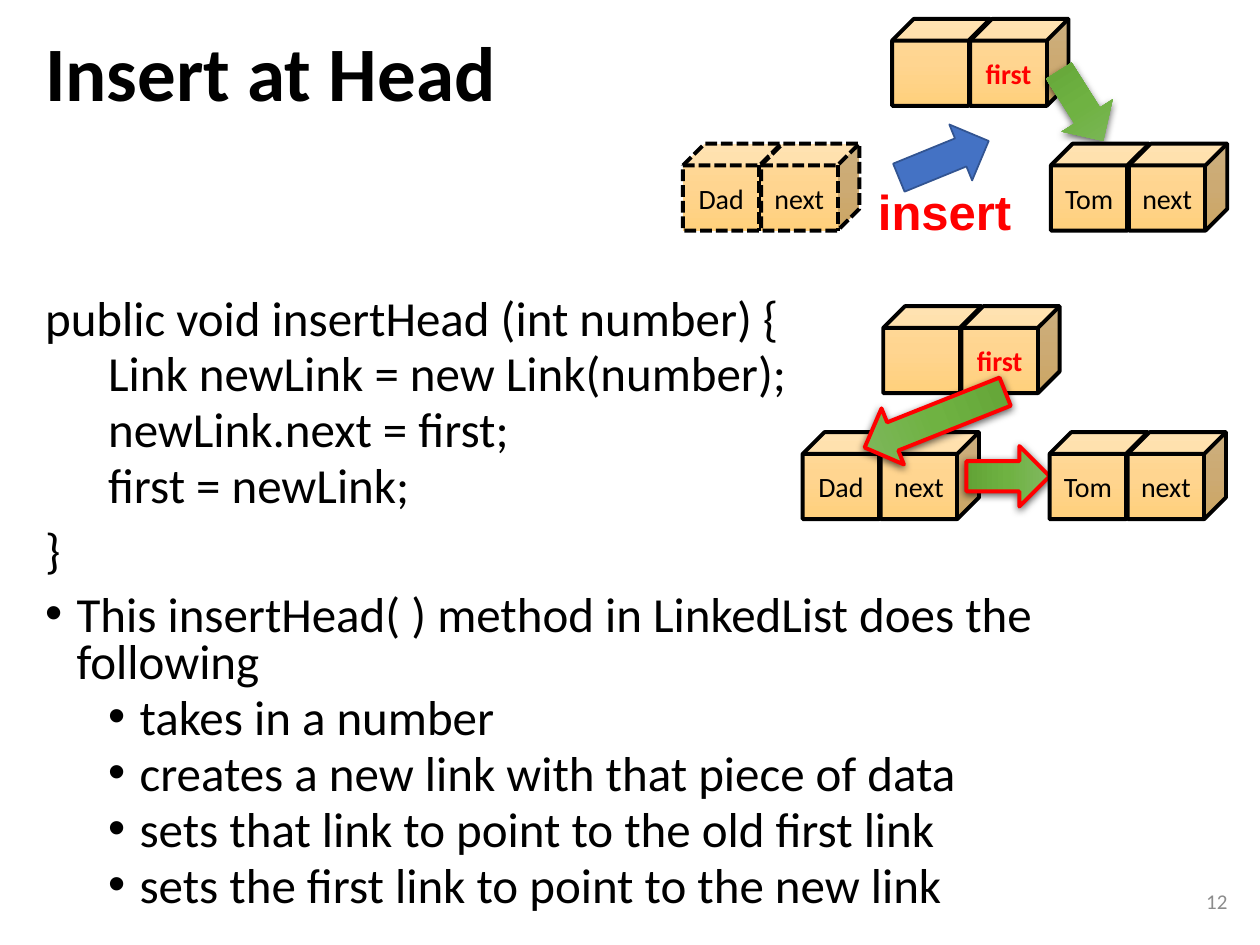
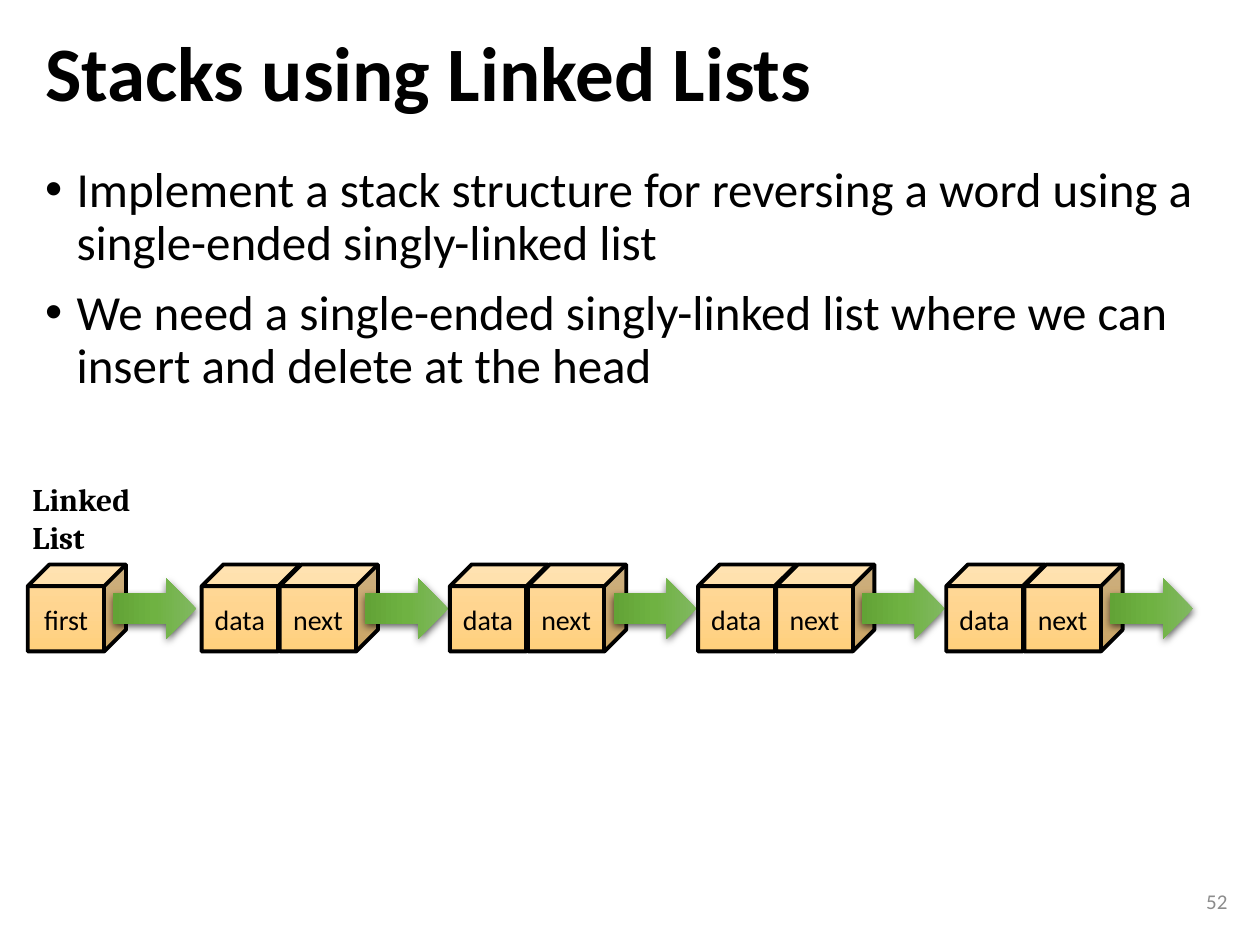
import pptx
import pptx.util
import pptx.dml.color
import pptx.enum.dml
import pptx.enum.shapes
import pptx.enum.text
import pptx.oxml
import pptx.oxml.ns

Inches, Pt = pptx.util.Inches, pptx.util.Pt
SHAPE = pptx.enum.shapes.MSO_SHAPE
ALIGN = pptx.enum.text.PP_ALIGN
ANCHOR = pptx.enum.text.MSO_ANCHOR
DASH = pptx.enum.dml.MSO_LINE.SQUARE_DOT

COLORS = {"text": "000000", "accent": "FF0000", "number": "8C8C8C",
          "insert": "4472C4", "insert_line": "325491"}
CUBE_GRADIENT = ("FFDB9E", "FFD590", "FFD07C")
ARROW_GRADIENT = ("81B861", "6FB242", "62A336")

TITLE_BOX = (0.26, 0.15, 9.47, 0.92)
BODY_LEFT, BODY_WIDTH, BODY_BOTTOM = 0.26, 9.47, 7.23
NUMBER_BOX = (7.59, 6.95, 2.25, 0.4)
CUBE_W, CUBE_H, CUBE_STEP = 0.78, 0.69, 0.62
ARROW_W, ARROW_H = 0.48, 0.66
LINK_PITCH = 1.97

# kind: (left margin, first-line indent, space before)
KINDS = {"code": (0, 0, 10), "code_in": (0.5, 0, 5),
         "bullet": (0.25, -0.25, 10), "sub": (0.75, -0.25, 5)}

HEAD = {
    "title": "Insert at Head", "number": "12", "body_top": 2.32, "spacing": 0.8,
    "body": [
        ("code", "public void insertHead (int number) {"),
        ("code_in", "Link newLink = new Link(number);"),
        ("code_in", "newLink.next = first;"),
        ("code_in", "first = newLink;"),
        ("code", "}"),
        ("bullet", "This insertHead( ) method in LinkedList does the following"),
        ("sub", "takes in a number"),
        ("sub", "creates a new link with that piece of data"),
        ("sub", "sets that link to point to the old first link"),
        ("sub", "sets the first link to point to the new link"),
    ],
}
STACK = {
    "title": "Stacks using Linked Lists", "number": "52", "body_top": 1.26, "spacing": 0.9,
    "body": [
        ("bullet", "Implement a stack structure for reversing a word using a "
                   "single-ended singly-linked list"),
        ("bullet", "We need a single-ended singly-linked list where we can "
                   "insert and delete at the head"),
    ],
}


def rgb(hex_color):
    return pptx.dml.color.RGBColor.from_string(hex_color)


def element(xml):
    """Parse DrawingML whose root tag carries the a: prefix."""
    tag, rest = xml.split(" ", 1)
    return pptx.oxml.parse_xml(f"{tag} {pptx.oxml.ns.nsdecls('a')} {rest}")


def set_font(p, size, color="text", bold=False, name="Calibri"):
    p.font.size, p.font.bold, p.font.name = Pt(size), bold, name
    p.font.color.rgb = rgb(COLORS[color])


def add_text(slide, box, lines, size, anchor=ANCHOR.TOP, align=ALIGN.LEFT, **font):
    tf = slide.shapes.add_textbox(*map(Inches, box)).text_frame
    tf.word_wrap, tf.vertical_anchor = True, anchor
    for i, line in enumerate(lines):
        p = tf.paragraphs[0] if i == 0 else tf.add_paragraph()
        p.text, p.alignment = line, align
        set_font(p, size, **font)
    return tf


def add_body(slide, content):
    top, body = content["body_top"], content["body"]
    tf = add_text(slide, (BODY_LEFT, top, BODY_WIDTH, BODY_BOTTOM - top),
                  [text for _, text in body], 28)
    for i, (p, (kind, _)) in enumerate(zip(tf.paragraphs, body)):
        margin, indent, before = KINDS[kind]
        p.line_spacing = content["spacing"]
        p.space_before = Pt(before if i else 0)
        pPr = p._p.get_or_add_pPr()
        pPr.set("marL", str(Inches(margin)))
        pPr.set("indent", str(Inches(indent)))
        if indent:
            font = element('<a:buFont typeface="Arial"/>')
            bullet = element('<a:buChar char="•"/>')
            pPr.insert_element_before(font, "a:tabLst", "a:defRPr", "a:extLst")
            font.addnext(bullet)


def add_frame(prs, content):
    """Add a slide with its title, body and slide number."""
    slide = prs.slides.add_slide(prs.slide_layouts[6])
    tf = add_text(slide, TITLE_BOX, [content["title"]], 44, ANCHOR.MIDDLE, bold=True)
    tf.paragraphs[0].line_spacing = 0.9
    add_body(slide, content)
    add_text(slide, NUMBER_BOX, [content["number"]], 12, ANCHOR.MIDDLE, ALIGN.RIGHT,
             color="number")
    return slide


def fill_gradient(sp, colors):
    stops = "".join(f'<a:gs pos="{i * 50000}"><a:srgbClr val="{c}"/></a:gs>'
                    for i, c in enumerate(colors))
    geom = sp._element.spPr.find(pptx.oxml.ns.qn("a:prstGeom"))
    geom.addnext(element(f'<a:gradFill rotWithShape="1"><a:gsLst>{stops}</a:gsLst>'
                         '<a:lin ang="5400000" scaled="0"/></a:gradFill>'))


def set_line(sp, color, width=2.25):
    sp.line.color.rgb, sp.line.width = rgb(COLORS[color]), Pt(width)


def add_cubes(slide, left, top, labels, dashed=False):
    """Draw touching cubes; the label "first" of a pair stands out in red."""
    for i, label in enumerate(labels):
        sp = slide.shapes.add_shape(SHAPE.CUBE, Inches(left + i * CUBE_STEP), Inches(top),
                                    Inches(CUBE_W), Inches(CUBE_H))
        sp.shadow.inherit = False
        fill_gradient(sp, CUBE_GRADIENT)
        set_line(sp, "text")
        if dashed:
            sp.line.dash_style = DASH
        if label:
            tf = sp.text_frame
            tf.word_wrap, tf.vertical_anchor = False, ANCHOR.MIDDLE
            p = tf.paragraphs[0]
            p.text, p.alignment = label, ALIGN.CENTER
            is_head = label == "first" and len(labels) > 1
            set_font(p, 16, "accent" if is_head else "text", is_head)


def add_arrow(slide, left, top, height=ARROW_H, rotation=90):
    sp = slide.shapes.add_shape(SHAPE.UP_ARROW, Inches(left), Inches(top),
                                Inches(ARROW_W), Inches(height))
    sp.rotation = rotation
    sp.shadow.inherit = False
    return sp


def add_pointer(slide, left, top, height=ARROW_H, rotation=90, outlined=False):
    """Add a green arrow with a soft shadow, outlined in red if it is new."""
    sp = add_arrow(slide, left, top, height, rotation)
    fill_gradient(sp, ARROW_GRADIENT)
    if outlined:
        set_line(sp, "accent")
    else:
        sp.line.fill.background()
    effects = sp._element.spPr.find(pptx.oxml.ns.qn("a:effectLst"))
    effects.append(element(
        f'<a:outerShdw blurRad="{Pt(4.5)}" dist="{Pt(1.5)}" dir="5400000" rotWithShape="0">'
        '<a:srgbClr val="000000"><a:alpha val="63000"/></a:srgbClr></a:outerShdw>'))


def add_next_pointer(slide, left, top, cubes=2, outlined=False):
    """Add the pointer leaving the last cube of a node."""
    add_pointer(slide, left + (cubes - 1) * CUBE_STEP + 0.77, top + 0.02, outlined=outlined)


def build_insert_head(prs):
    slide = add_frame(prs, HEAD)
    add_cubes(slide, 7.08, 0.15, ("", "first"))
    add_pointer(slide, 8.34, 0.51, rotation=147.7)
    add_cubes(slide, 8.34, 1.14, ("Tom", "next"))
    add_cubes(slide, 5.42, 1.14, ("Dad", "next"), dashed=True)

    add_cubes(slide, 7.01, 2.43, ("", "first"))
    add_cubes(slide, 6.37, 3.43, ("Dad", "next"))
    add_next_pointer(slide, 6.37, 3.43, outlined=True)
    add_cubes(slide, 8.33, 3.43, ("Tom", "next"))
    add_pointer(slide, 7.18, 2.73, 1.2, 248.3, outlined=True)

    add_text(slide, (6.87, 1.39, 1.36, 0.57), ["insert"], 28,
             color="accent", bold=True, name="Arial")
    insert = add_arrow(slide, 7.25, 0.88, 0.77, 67.8)
    insert.fill.solid()
    insert.fill.fore_color.rgb = rgb(COLORS["insert"])
    set_line(insert, "insert_line", 1)


def build_stack(prs):
    slide = add_frame(prs, STACK)
    top = 4.48
    for i in range(4):
        left = 1.6 + i * LINK_PITCH
        add_cubes(slide, left, top, ("data", "next"))
        add_next_pointer(slide, left, top)
    add_cubes(slide, 0.22, top, ("first",))
    add_text(slide, (0.16, 3.76, 1.04, 0.71), ["Linked", "List"], 18,
             bold=True, name="Cambria")
    add_next_pointer(slide, 0.22, top, cubes=1)


def main():
    prs = pptx.Presentation()
    prs.slide_width, prs.slide_height = Inches(10), Inches(7.5)
    build_insert_head(prs)
    build_stack(prs)
    prs.save("out.pptx")


if __name__ == "__main__":
    main()
